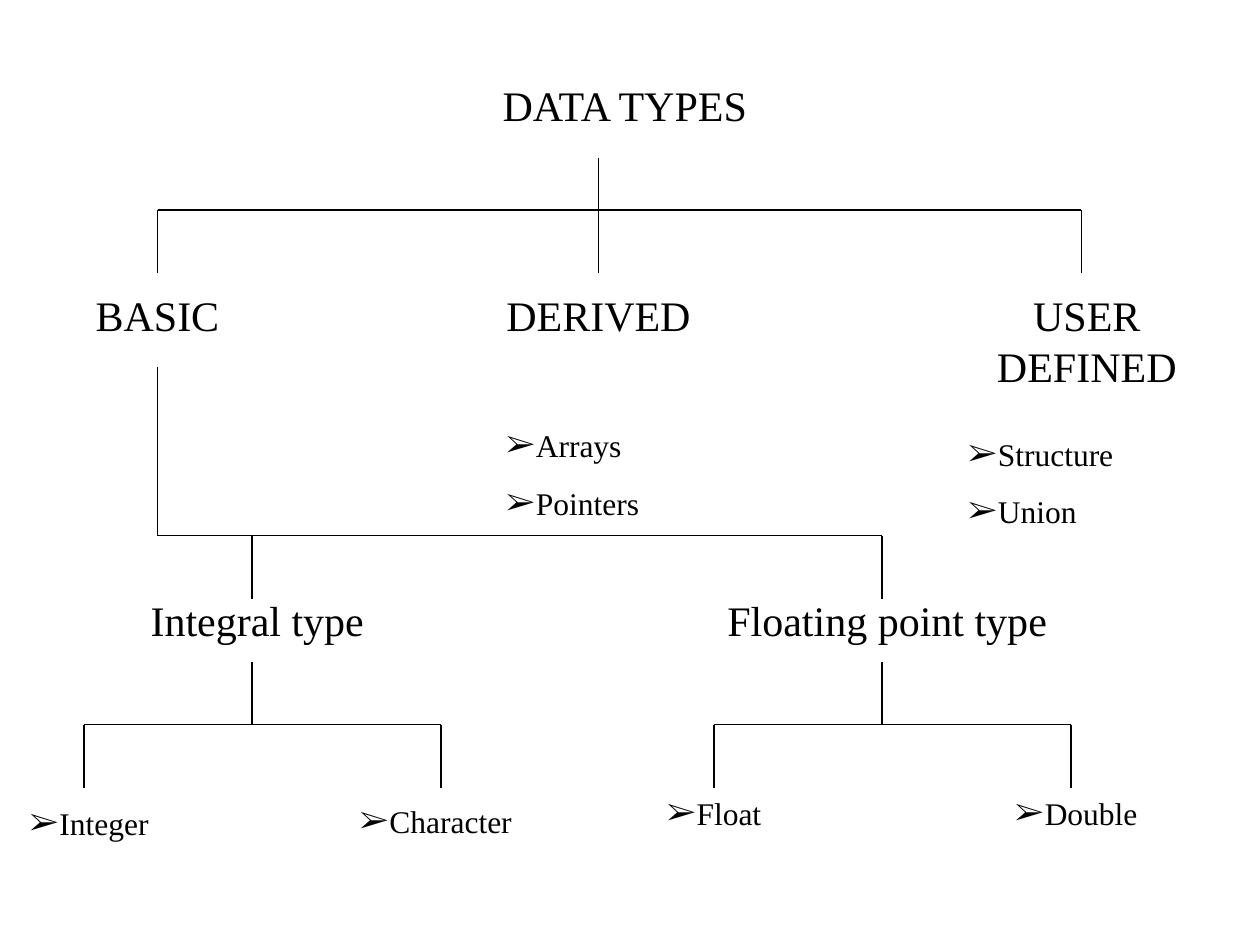
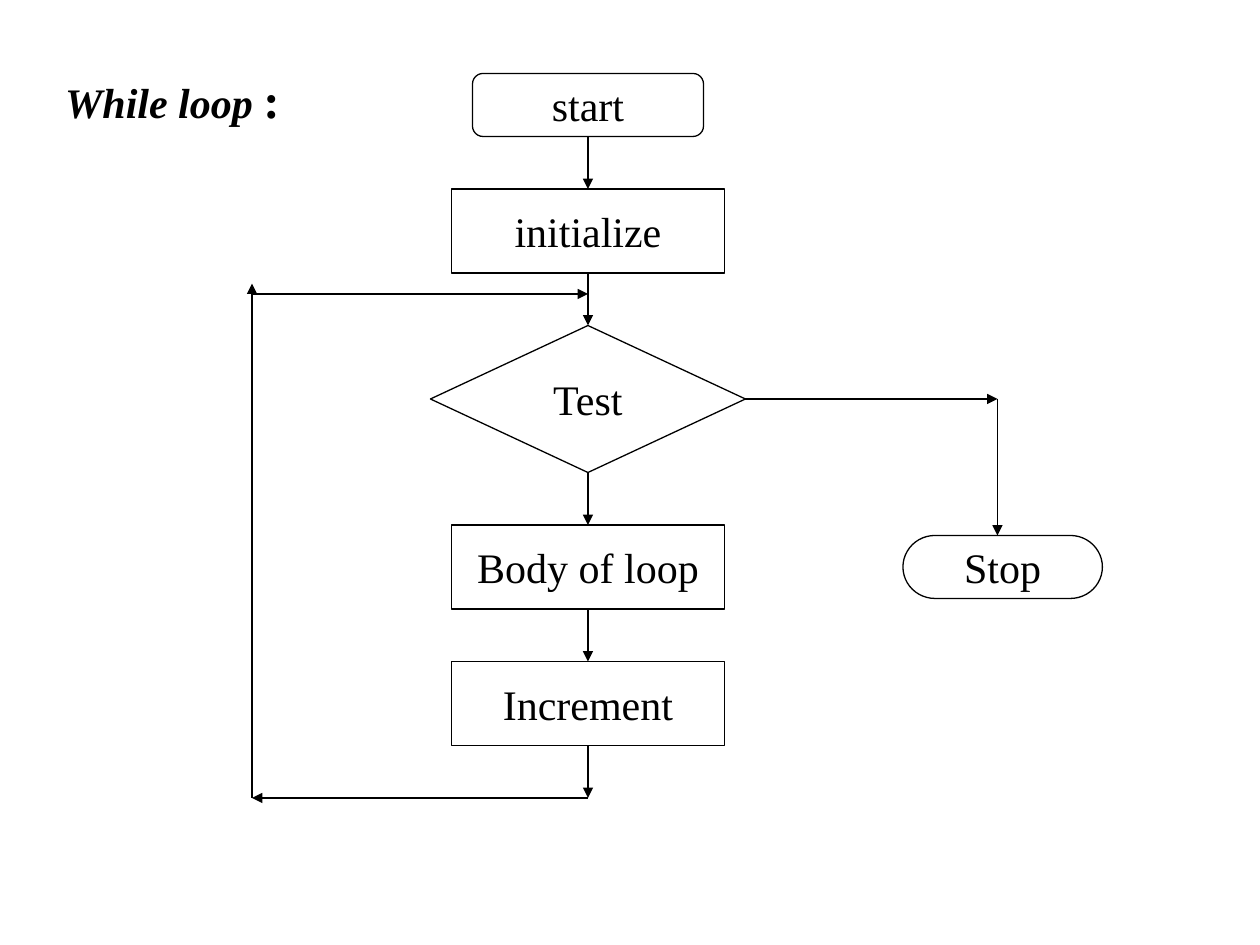
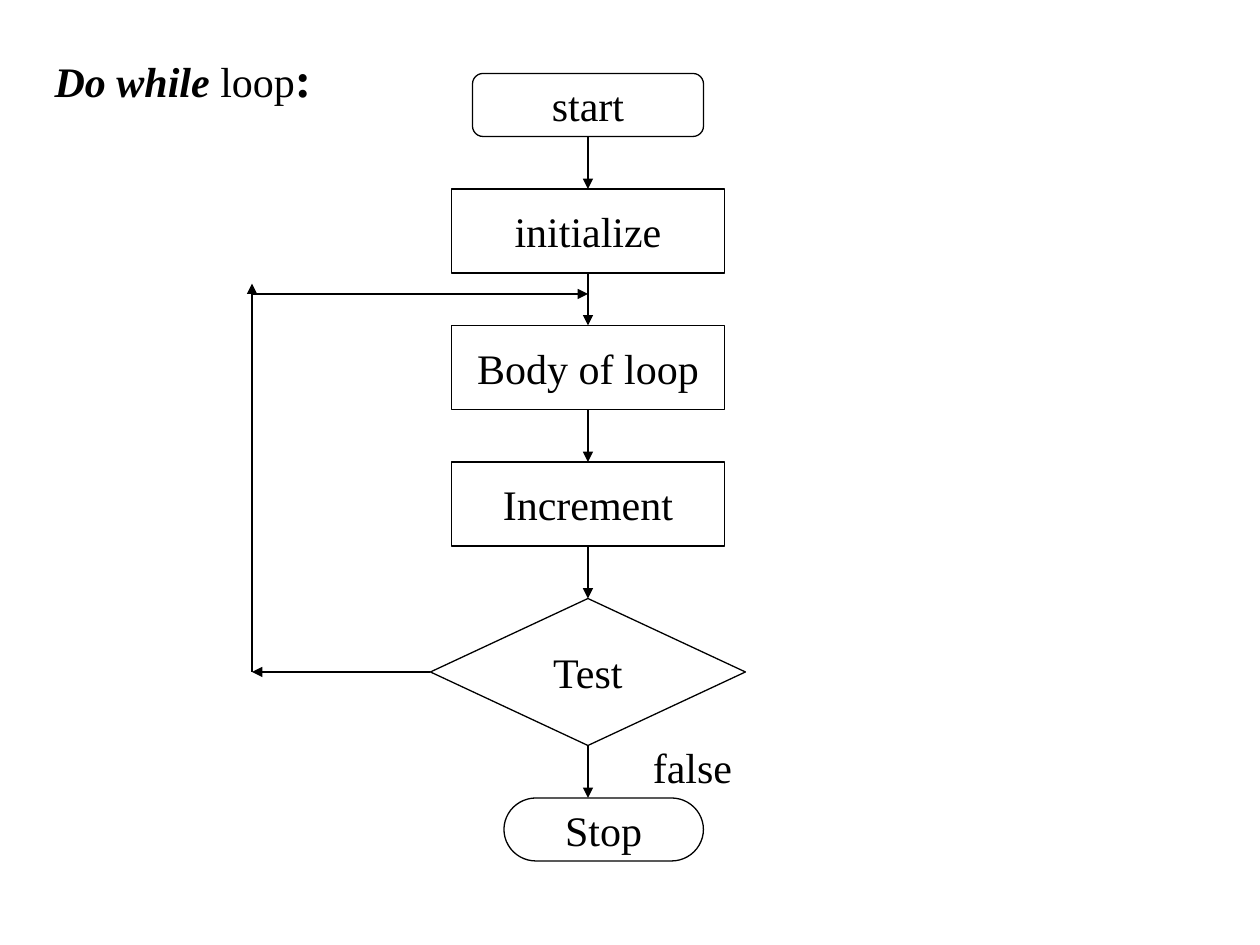
from collections import namedtuple

from lxml import etree
from pptx import Presentation
from pptx import util as u
from pptx.dml.color import RGBColor
from pptx.enum import shapes, text
from pptx.oxml.ns import qn

Box = namedtuple("Box", "left top width height")
Span = namedtuple("Span", "words size bold italic", defaults=(24, False, False))

FONT, INK, PAPER = "Times New Roman", "000000", "FFFFFF"
LINE_WIDTH = 0.75
GAP, DROP = 30, 36
AXIS, RETURN_X, JOIN_Y = 336, 144, 168
LEFT, CENTER = text.PP_ALIGN.LEFT, text.PP_ALIGN.CENTER
TOP, MIDDLE = text.MSO_ANCHOR.TOP, text.MSO_ANCHOR.MIDDLE

KINDS = {
    "start": (shapes.MSO_SHAPE.FLOWCHART_ALTERNATE_PROCESS, 132, 36),
    "process": (shapes.MSO_SHAPE.FLOWCHART_PROCESS, 156, 48),
    "test": (shapes.MSO_SHAPE.FLOWCHART_DECISION, 180, 84),
    "stop": (shapes.MSO_SHAPE.FLOWCHART_TERMINATOR, 114, 36),
}


def color(code):
    """Turn a hex string into a colour."""
    return RGBColor.from_string(code)


def points(*lengths):
    """Turn plain numbers into lengths in points."""
    return [u.Pt(length) for length in lengths]


def add_bullet(para):
    """Give a paragraph a hanging arrow bullet."""
    props = para._p.get_or_add_pPr()
    props.set("marL", str(u.Pt(17)))
    props.set("indent", str(-u.Pt(17)))
    tint = etree.SubElement(props, qn("a:buClr"))
    etree.SubElement(tint, qn("a:srgbClr"), val=INK)
    etree.SubElement(props, qn("a:buFont"), typeface=FONT)
    etree.SubElement(props, qn("a:buChar"), char="➢")


def write(shape, lines, align=CENTER, anchor=TOP, wrap=True, before=0, bullet=False):
    """Fill a shape with paragraphs, each a list of spans."""
    frame = shape.text_frame
    frame.auto_size = text.MSO_AUTO_SIZE.NONE
    frame.word_wrap = wrap
    frame.vertical_anchor = anchor
    frame.margin_left, frame.margin_top, frame.margin_right, frame.margin_bottom = points(7.2, 3.6, 7.2, 3.6)
    for index, spans in enumerate(lines):
        para = frame.add_paragraph() if index else frame.paragraphs[0]
        para.alignment = align
        para.space_before = u.Pt(before)
        if bullet:
            add_bullet(para)
        for span in spans:
            run = para.add_run()
            run.text = span.words
            run.font.name, run.font.size = FONT, u.Pt(span.size)
            run.font.bold, run.font.italic = span.bold, span.italic
            run.font.color.rgb = color(INK)


def place(shape, box):
    """Move a placeholder to a box."""
    shape.left, shape.top, shape.width, shape.height = points(*box)


def add_title(page, box, spans, align=LEFT):
    """Place and fill the title placeholder."""
    place(page.shapes.title, box)
    write(page.shapes.title, [spans], align)


def add_label(page, box, words, align=CENTER):
    """Add one free heading."""
    write(page.shapes.add_textbox(*points(*box)), [[Span(words)]], align)


def add_list(shape, items, align=LEFT):
    """Fill a shape with bulleted items."""
    write(shape, [[Span(item, 18)] for item in items], align, before=11.2, bullet=True)


def add_line(page, start, end, arrow=False):
    """Draw a straight line, with an arrowhead at its end if asked."""
    line = page.shapes.add_connector(shapes.MSO_CONNECTOR.STRAIGHT, *points(*start, *end))
    line.line.color.rgb = color(INK)
    line.line.width = u.Pt(LINE_WIDTH)
    if arrow:
        etree.SubElement(line.line._get_or_add_ln(), qn("a:tailEnd"), type="triangle")
    etree.SubElement(line._element.spPr, qn("a:effectLst"))


def add_fork(page, box, stem, drops):
    """Draw a stem, a rail across the box and drops down to its foot."""
    foot = box.top + box.height
    rail = foot - DROP
    add_line(page, (box.left + stem, box.top), (box.left + stem, rail))
    add_line(page, (box.left, rail), (box.left + box.width, rail))
    for drop in drops:
        add_line(page, (box.left + drop, rail), (box.left + drop, foot))


def add_step(page, kind, words, middle, top):
    """Draw a flowchart step centred on an x position and return its box."""
    preset, width, height = KINDS[kind]
    box = Box(middle - width / 2, top, width, height)
    step = page.shapes.add_shape(preset, *points(*box))
    step.shadow.inherit = False
    step.fill.solid()
    step.fill.fore_color.rgb = color(PAPER)
    step.line.color.rgb = color(INK)
    step.line.width = u.Pt(LINE_WIDTH)
    write(step, [[Span(words)]], anchor=MIDDLE, wrap=False)
    return box


def add_flow(page, top, steps):
    """Stack steps down the axis, an arrow below each, and return boxes by kind."""
    boxes = {}
    for kind, words in steps:
        box = boxes[kind] = add_step(page, kind, words, AXIS, top)
        foot = top + box.height
        top = foot + GAP
        add_line(page, (AXIS, foot), (AXIS, top), True)
    return boxes


def add_return(page, start):
    """Lead the flow from a point back up to the top of the loop."""
    corner = (RETURN_X, start[1])
    add_line(page, start, corner, True)
    add_line(page, corner, (RETURN_X, JOIN_Y - 6), True)
    add_line(page, (RETURN_X, JOIN_Y), (AXIS, JOIN_Y), True)


def build_types(page):
    """Build the tree of data types."""
    add_title(page, Box(252, 42, 210, 36), [Span("DATA TYPES")], CENTER)
    for words, box in (
        ("BASIC", Box(36, 162, 108, 36)),
        ("DERIVED", Box(282, 162, 120, 36)),
        ("USER DEFINED", Box(540, 162, 162, 65)),
        ("Integral type", Box(66, 336, 162, 36)),
        ("Floating point type", Box(378, 336, 258, 36)),
    ):
        add_label(page, box, words)
    add_fork(page, Box(90, 90, 528, 66), 252, (0, 252, 528))
    add_fork(page, Box(90, 210, 414, 132), 0, (54, 414))
    for left in (48, 408):
        add_fork(page, Box(left, 378, 204, 72), 96, (0, 204))
    for number, box, items in (
        (1, Box(282, 240, 150, 62), ("Arrays", "Pointers")),
        (2, Box(546, 245, 150, 62), ("Structure", "Union")),
    ):
        body = page.placeholders[number]
        place(body, box)
        add_list(body, items)
    for words, left, top, width in (
        ("Integer", -6, 456, 114),
        ("Character", 186, 454.5, 126),
        ("Float", 348, 450, 120),
        ("Double", 558, 450, 114),
    ):
        leaf = page.shapes.add_textbox(*points(left, top, width, 62))
        add_list(leaf, [words], CENTER)


def build_while(page):
    """Build the flowchart that tests before the body."""
    add_title(page, Box(30, 36, 180, 41), [Span("While loop ", 24, True, True), Span(":", 28, True)])
    boxes = add_flow(page, 42, (
        ("start", "start"), ("process", "initialize"), ("test", "Test"),
        ("process", "Body of loop"), ("process", "Increment"),
    ))
    last, test = boxes["process"], boxes["test"]
    add_return(page, (AXIS, last.top + last.height + GAP))
    stop = add_step(page, "stop", "Stop", 573, 306)
    corner = (570, test.top + test.height / 2)
    add_line(page, (test.left + test.width, corner[1]), corner, True)
    add_line(page, corner, (corner[0], stop.top), True)


def build_do_while(page):
    """Build the flowchart that tests after the body."""
    add_title(page, Box(24, 24, 198, 41),
              [Span("Do while ", 24, True, True), Span("loop"), Span(":", 28, True)])
    boxes = add_flow(page, 42, (
        ("start", "start"), ("process", "initialize"), ("process", "Body of loop"),
        ("process", "Increment"), ("test", "Test"),
    ))
    test = boxes["test"]
    add_return(page, (test.left, test.top + test.height / 2))
    add_step(page, "stop", "Stop", 345, test.top + test.height + GAP)
    add_label(page, Box(366, 420, 78, 36), "false", LEFT)


def main():
    """Build and save the deck."""
    deck = Presentation()
    deck.slide_width, deck.slide_height = points(720, 540)
    for layout, build in ((3, build_types), (5, build_while), (5, build_do_while)):
        build(deck.slides.add_slide(deck.slide_layouts[layout]))
    deck.save("out.pptx")


if __name__ == "__main__":
    main()
